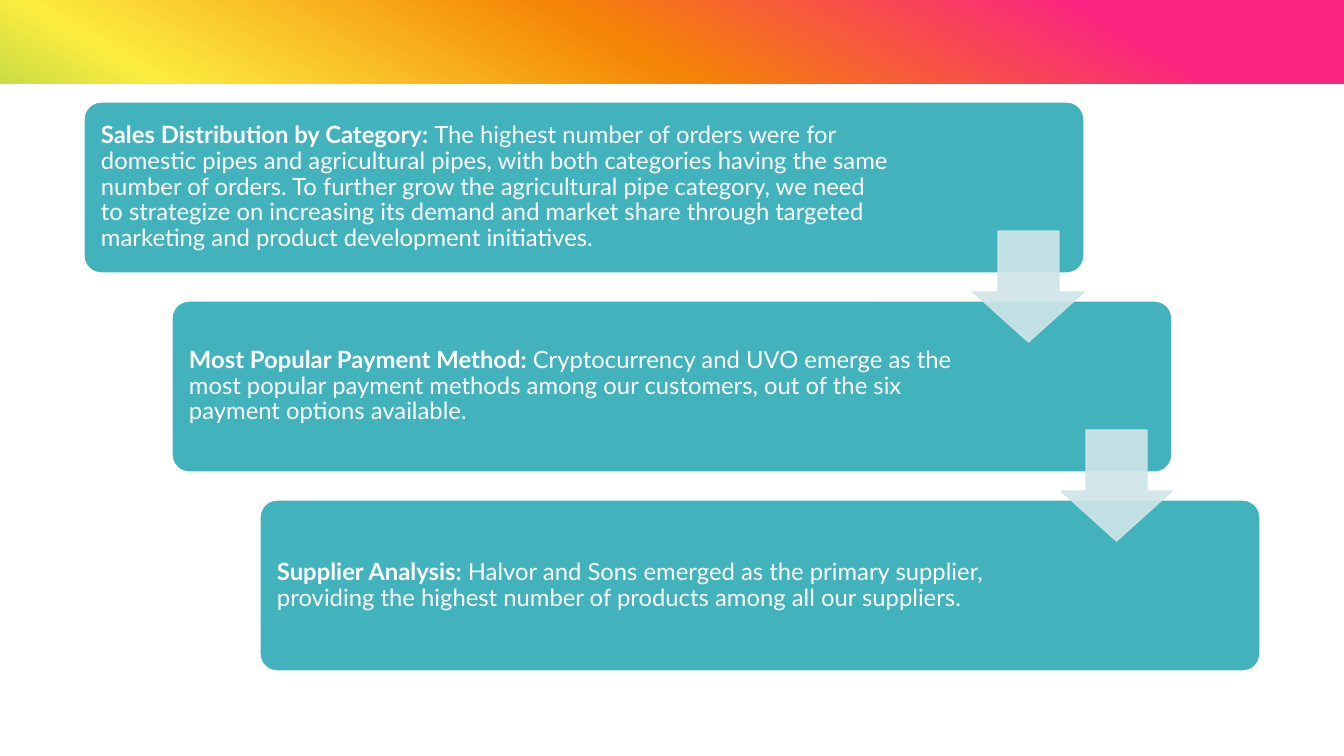
from lxml import etree
from pptx import Presentation
from pptx.dml.color import RGBColor
from pptx.enum.shapes import MSO_SHAPE
from pptx.enum.text import MSO_ANCHOR, PP_ALIGN
from pptx.oxml.ns import qn
from pptx.util import Emu, Pt

RECTANGLE = MSO_SHAPE.RECTANGLE
ROUNDED = MSO_SHAPE.ROUNDED_RECTANGLE
DOWN_ARROW = MSO_SHAPE.DOWN_ARROW
MIDDLE = MSO_ANCHOR.MIDDLE
LEFT = PP_ALIGN.LEFT

EMU_PER_PX = 914400 / 100.8
SLIDE_W, SLIDE_H = 1344, 756
BAND_H = 84

FONT = "Lato"
WHITE, TEAL, PALE_TEAL = "FFFFFF", "42B3BD", "CFE5E8"
BAND_STOPS = [(10, "FA2481"), (30, "F58505"), (50, "FCEC3F"),
              (70, "51B851"), (90, TEAL)]
BAND_ANGLE = 120

# Staircase of cards, with an arrow on each step
CARD_X, CARD_Y, CARD_W, CARD_H = 84, 102, 1000, 171
STEP_X, STEP_Y = 88, 199
ARROW_DX, ARROW_DY, ARROW_SIZE = 889, 129, 111
INSET = 12

# Heading, finding, right inset of the text
FINDINGS = [
    ("Sales Distribution by Category: ",
     "The highest number of orders were for domestic pipes and agricultural "
     "pipes, with both categories having the same number of orders. To further "
     "grow the agricultural pipe category, we need to strategize on increasing "
     "its demand and market share through targeted marketing and product "
     "development initiatives.", 186),
    ("Most Popular Payment Method: ",
     "Cryptocurrency and UVO emerge as the most popular payment methods among "
     "our customers, out of the six payment options available.", 212),
    ("Supplier Analysis: ",
     "Halvor and Sons emerged as the primary supplier, providing the highest "
     "number of products among all our suppliers.", 212),
]


def px(length):
    return Emu(round(length * EMU_PER_PX))


def rgb(color):
    return RGBColor.from_string(color)


def add_block(slide, preset, x, y, width, height, fill, line=None):
    block = slide.shapes.add_shape(preset, px(x), px(y), px(width), px(height))
    block.shadow.inherit = False
    block.fill.solid()
    block.fill.fore_color.rgb = rgb(fill)
    if line:
        block.line.color.rgb = rgb(line)
        block.line.width = Pt(1)
    else:
        block.line.fill.background()
    return block


def set_gradient(block, stops, angle):
    block.fill.gradient()
    block.fill.gradient_angle = 360 - angle
    stop_list = block._element.spPr.find(qn("a:gradFill")).find(qn("a:gsLst"))
    for default_stop in list(stop_list):
        stop_list.remove(default_stop)
    for percent, color in stops:
        stop = etree.SubElement(stop_list, qn("a:gs"), pos=str(percent * 1000))
        etree.SubElement(stop, qn("a:srgbClr"), val=color)


def set_opacity(block, percent):
    for color in block._element.spPr.iter(qn("a:srgbClr")):
        etree.SubElement(color, qn("a:alpha"), val=str(percent * 1000))


def add_card(slide, x, y, heading, finding, right_inset):
    card = add_block(slide, ROUNDED, x, y, CARD_W, CARD_H, TEAL, WHITE)
    card.adjustments[0] = 0.1
    frame = card.text_frame
    frame.word_wrap = True
    frame.vertical_anchor = MIDDLE
    frame.margin_left = frame.margin_top = frame.margin_bottom = px(INSET)
    frame.margin_right = px(right_inset)

    paragraph = frame.paragraphs[0]
    paragraph.alignment = LEFT
    paragraph.line_spacing = 0.9
    paragraph.font.name = FONT
    paragraph.font.size = Pt(17)
    paragraph.font.color.rgb = rgb(WHITE)
    for text, bold in ((heading, True), (finding, False)):
        run = paragraph.add_run()
        run.text = text
        run.font.bold = bold


def add_step_arrow(slide, x, y):
    arrow = add_block(slide, DOWN_ARROW, x, y, ARROW_SIZE, ARROW_SIZE,
                      PALE_TEAL, PALE_TEAL)
    arrow.adjustments[0] = 0.55
    arrow.adjustments[1] = 0.45
    set_opacity(arrow, 90)


def main():
    deck = Presentation()
    deck.slide_width, deck.slide_height = px(SLIDE_W), px(SLIDE_H)
    slide = deck.slides.add_slide(deck.slide_layouts[6])

    # Gradient backdrop, showing as a band above the white panel
    backdrop = add_block(slide, RECTANGLE, 0, 0, SLIDE_W, SLIDE_H, WHITE)
    set_gradient(backdrop, BAND_STOPS, BAND_ANGLE)
    add_block(slide, RECTANGLE, 0, BAND_H, SLIDE_W, SLIDE_H - BAND_H, WHITE)

    # Findings, then the arrows that overlap them
    corners = [(CARD_X + i * STEP_X, CARD_Y + i * STEP_Y)
               for i in range(len(FINDINGS))]
    for (x, y), finding in zip(corners, FINDINGS):
        add_card(slide, x, y, *finding)
    for x, y in corners[:-1]:
        add_step_arrow(slide, x + ARROW_DX, y + ARROW_DY)

    deck.save("out.pptx")


if __name__ == "__main__":
    main()
